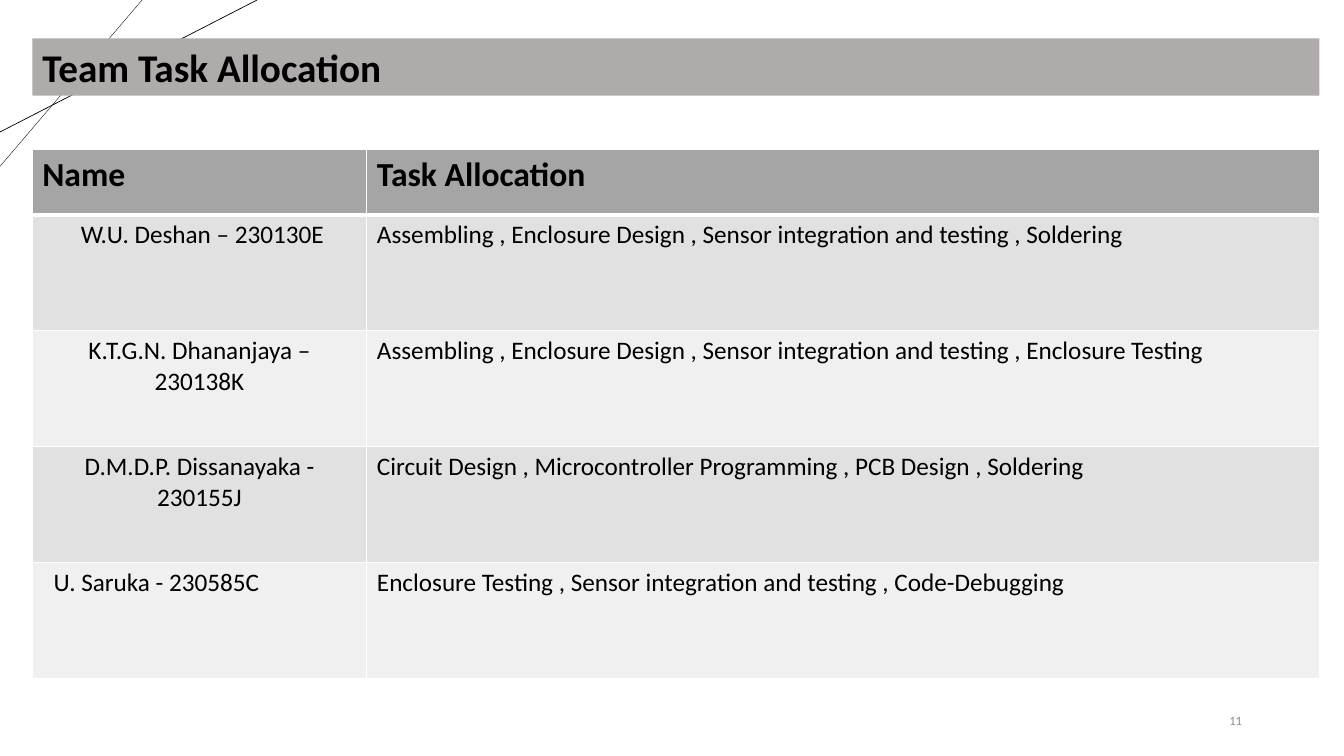
"""Build the team task allocation slide."""
from lxml import etree
from pptx import Presentation
from pptx.dml.color import RGBColor
from pptx.enum import shapes, text
from pptx.oxml import ns
from pptx.util import Pt

TITLE = "Team Task Allocation"
PAGE = "11"
HEAD = ("Name", "Task Allocation")
TEAM = [
    ("W.U. Deshan – 230130E",
     "Assembling , Enclosure Design , Sensor integration and testing , Soldering"),
    ("K.T.G.N. Dhananjaya – 230138K",
     "Assembling , Enclosure Design , Sensor integration and testing , Enclosure Testing"),
    ("D.M.D.P. Dissanayaka - 230155J",
     "Circuit Design , Microcontroller Programming , PCB Design , Soldering"),
    ("U. Saruka - 230585C",
     "Enclosure Testing , Sensor integration and testing , Code-Debugging"),
]
COLORS = {"ink": "000000", "edge": "FFFFFF", "bar": "AFABAB", "head": "A5A5A5",
          "odd": "E1E1E1", "even": "F0F0F0", "page": "8C8C8C"}
FONT = "Calibri"
LEFT, WIDTH = 23.04, 919.44
COLS = (239.04, 680.4)
HEAD_H, ROW_H = 46.8, 82.8
PAD = 7.2
INDENT = {1: 4, 4: 8}
RAYS = [((101.5, 0), (0, 118.8), 0.25), ((183.6, 0), (0, 94.3), 0.5)]


def color(name):
    return RGBColor.from_string(COLORS[name])


def style(para, size, bold=False, ink="ink", align=text.PP_ALIGN.LEFT):
    para.alignment = align
    for run in para.runs:
        font = run.font
        font.name, font.size, font.bold = FONT, Pt(size), bold
        font.color.rgb = color(ink)


def edge(cell, sides):
    props = cell._tc.get_or_add_tcPr()
    for spot, (side, width) in enumerate(sides):
        line = etree.Element(ns.qn("a:ln" + side), w=str(Pt(width)))
        fill = etree.SubElement(line, ns.qn("a:solidFill"))
        etree.SubElement(fill, ns.qn("a:srgbClr"), val=COLORS["edge"])
        props.insert(spot, line)


def add_rays(slide):
    for start, end, width in RAYS:
        ray = slide.shapes.add_connector(
            shapes.MSO_CONNECTOR.STRAIGHT, *map(Pt, start + end))
        ray.line.color.rgb = color("ink")
        ray.line.width = Pt(width)
        etree.SubElement(ray._element.spPr, ns.qn("a:effectLst"))


def add_page(slide):
    box = slide.shapes.add_textbox(Pt(816.5), Pt(500.4), Pt(77.8), Pt(28.8))
    frame = box.text_frame
    frame.word_wrap = True
    frame.vertical_anchor = text.MSO_ANCHOR.MIDDLE
    frame.text = PAGE
    style(frame.paragraphs[0], 9, ink="page", align=text.PP_ALIGN.RIGHT)


def add_team(slide):
    rows = [HEAD] + TEAM
    high = HEAD_H + ROW_H * len(TEAM)
    table = slide.shapes.add_table(len(rows), len(COLS), Pt(LEFT), Pt(106.56),
                                   Pt(WIDTH), Pt(high)).table
    for col, width in zip(table.columns, COLS):
        col.width = Pt(width)
    for r, row in enumerate(rows):
        table.rows[r].height = Pt(ROW_H if r else HEAD_H)
        shade = ("odd" if r % 2 else "even") if r else "head"
        top, low = (3 if r == 1 else 1), (1 if r else 3)
        for c, words in enumerate(row):
            cell = table.cell(r, c)
            cell.text = words
            cell.fill.solid()
            cell.fill.fore_color.rgb = color(shade)
            edge(cell, (("L", 1), ("R", 1), ("T", top), ("B", low)))
            if c == 0:
                cell.margin_left = Pt(PAD + INDENT.get(r, 0))
            mid = c == 0 and 0 < r < len(TEAM)
            align = text.PP_ALIGN.CENTER if mid else text.PP_ALIGN.LEFT
            style(cell.text_frame.paragraphs[0], 18 if r else 24,
                  bold=r == 0, align=align)


def add_title(slide):
    title = slide.shapes.title
    title.left, title.top = Pt(LEFT), Pt(27.36)
    title.width, title.height = Pt(WIDTH), Pt(41.04)
    title.fill.solid()
    title.fill.fore_color.rgb = color("bar")
    frame = title.text_frame
    frame.text = TITLE
    frame.auto_size = text.MSO_AUTO_SIZE.NONE
    frame.vertical_anchor = text.MSO_ANCHOR.MIDDLE
    style(frame.paragraphs[0], 28, bold=True)
    slide.shapes._spTree.append(title._element)


def main():
    deck = Presentation()
    deck.slide_width, deck.slide_height = Pt(960), Pt(540)
    slide = deck.slides.add_slide(deck.slide_layouts[5])
    add_rays(slide)
    add_page(slide)
    add_team(slide)
    add_title(slide)
    deck.save("out.pptx")


if __name__ == "__main__":
    main()
